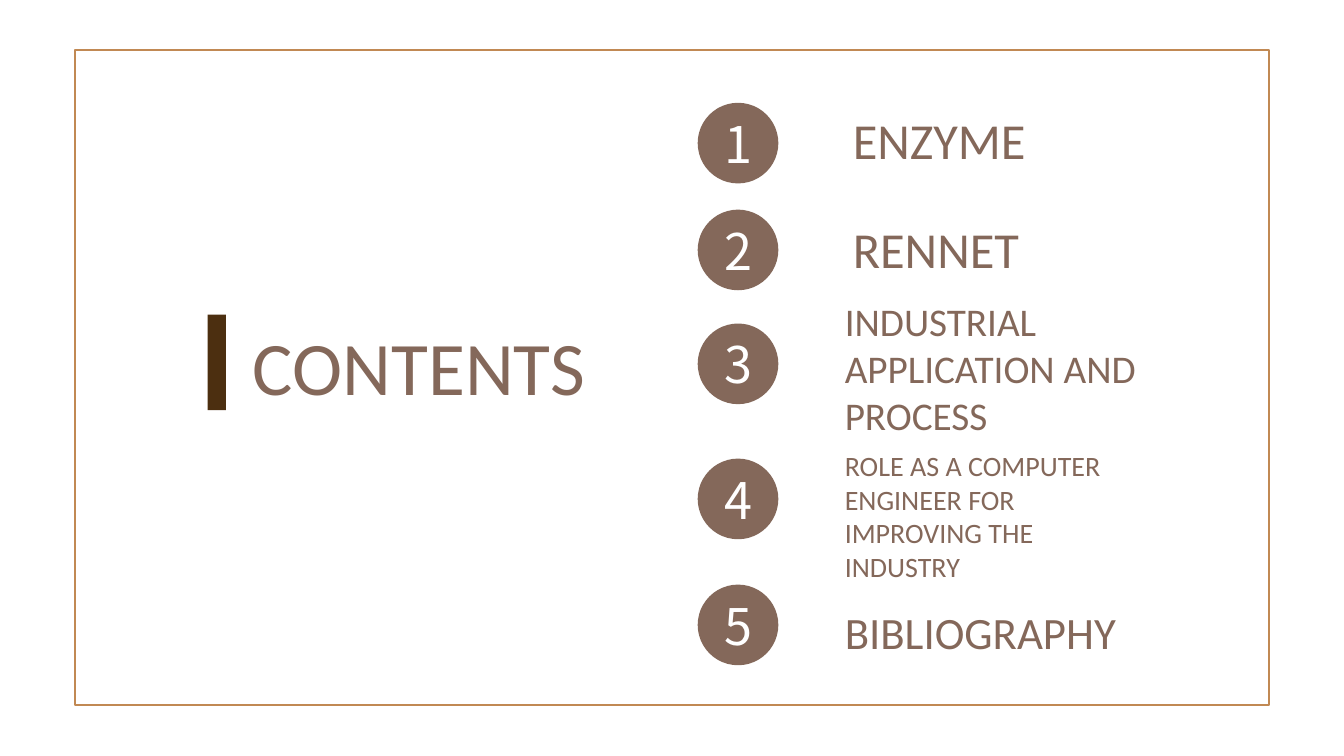
"""Builds a contents slide with five numbered topics."""
from pptx import Presentation
from pptx.dml.color import RGBColor
from pptx.enum.shapes import MSO_SHAPE
from pptx.enum.text import MSO_ANCHOR, PP_ALIGN
from pptx.util import Inches, Pt

HEADING = "CONTENTS"
TOPICS = [
    {"topic": "ENZYME", "size": 36, "circle_top": 1.02, "topic_at": (8.36, 1.03), "height": 0.76},
    {"topic": "RENNET", "size": 36, "circle_top": 2.08, "topic_at": (8.36, 2.11), "height": 0.71},
    {"topic": "INDUSTRIAL APPLICATION AND PROCESS", "size": 28, "circle_top": 3.21,
     "topic_at": (8.28, 2.9), "height": 1.51},
    {"topic": "ROLE AS A COMPUTER ENGINEER FOR IMPROVING THE INDUSTRY", "size": 20,
     "circle_top": 4.55, "topic_at": (8.28, 4.4), "height": 1.45},
    {"topic": "BIBLIOGRAPHY", "size": 32, "circle_top": 5.8, "topic_at": (8.28, 5.95), "height": 0.64},
]
THEME = {
    "paper": "FFFFFF", "frame": "C18953", "bar": "4C2F10", "mocha": "84685A",
    "text_font": "Calibri", "number_font": "Noto Sans CJK SC",
    "heading_size": 54, "number_size": 36,
}
CIRCLE_LEFT, CIRCLE_SIZE, TOPIC_WIDTH = 6.92, 0.8, 3.09


def color(name):
    return RGBColor.from_string(THEME[name])


def write(holder, text, *, size, font="text_font", ink="mocha", align=PP_ALIGN.LEFT,
          anchor=MSO_ANCHOR.TOP, margin=None):
    frame = holder.text_frame
    frame.word_wrap = True
    frame.vertical_anchor = anchor
    if margin is not None:
        frame.margin_left = frame.margin_right = Inches(margin)
        frame.margin_top = frame.margin_bottom = Inches(margin)
    paragraph = frame.paragraphs[0]
    paragraph.alignment = align
    run = paragraph.add_run()
    run.text = text
    run.font.size = Pt(size)
    run.font.name = THEME[font]
    run.font.color.rgb = color(ink)


def add_block(slide, kind, box, fill, line=None):
    block = slide.shapes.add_shape(kind, *map(Inches, box))
    block.shadow.inherit = False
    block.fill.solid()
    block.fill.fore_color.rgb = color(fill)
    if line:
        block.line.color.rgb = color(line)
        block.line.width = Pt(1.5)
    else:
        block.line.fill.background()
    return block


def add_label(slide, box, text, size):
    write(slide.shapes.add_textbox(*map(Inches, box)), text, size=size)


def main():
    deck = Presentation()
    deck.slide_width, deck.slide_height = Inches(13.33), Inches(7.5)
    slide = deck.slides.add_slide(deck.slide_layouts[6])

    add_block(slide, MSO_SHAPE.RECTANGLE, (0.74, 0.5, 11.85, 6.49), "paper", line="frame")
    add_block(slide, MSO_SHAPE.RECTANGLE, (2.06, 3.12, 0.18, 0.95), "bar")
    add_label(slide, (2.41, 3.12, 3.62, 1.01), HEADING, THEME["heading_size"])

    for number, entry in enumerate(TOPICS, start=1):
        circle = add_block(slide, MSO_SHAPE.OVAL,
                           (CIRCLE_LEFT, entry["circle_top"], CIRCLE_SIZE, CIRCLE_SIZE), "mocha")
        write(circle, str(number), size=THEME["number_size"], font="number_font", ink="paper",
              align=PP_ALIGN.CENTER, anchor=MSO_ANCHOR.MIDDLE, margin=0)
        add_label(slide, (*entry["topic_at"], TOPIC_WIDTH, entry["height"]),
                  entry["topic"], entry["size"])

    deck.save("out.pptx")


if __name__ == "__main__":
    main()
